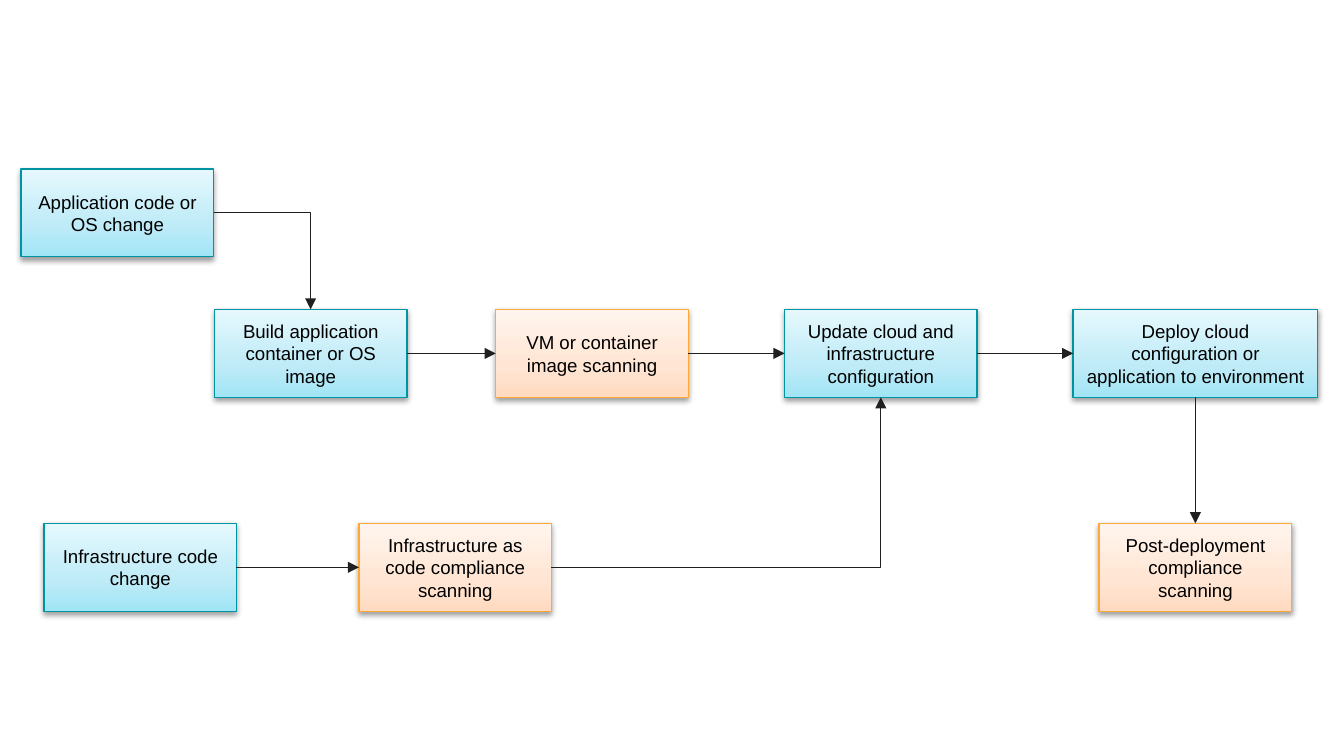
from lxml.etree import SubElement
from pptx import Presentation
from pptx.dml.color import RGBColor
from pptx.enum.shapes import MSO_CONNECTOR as CONNECTOR, MSO_SHAPE as SHAPE
from pptx.enum.text import MSO_ANCHOR as ANCHOR, PP_ALIGN as ALIGN
from pptx.oxml.ns import qn
from pptx.util import Pt

BOX_WIDTH, BOX_HEIGHT, WIDE_BOX = 103.1, 47.1, 131
TOP_ROW, MIDDLE_ROW, BOTTOM_ROW = 90.5, 165.8, 280.4
TOP, LEFT, BOTTOM, RIGHT = range(4)
STEP = ("0094A3", ("A0E5F5", "BEEBF7", "E5F8FD"))
SCAN = ("FEA83A", ("FFDAC0", "FFE5D3", "FFF5EE"))

BOXES = {
    "build": (114.9, MIDDLE_ROW, BOX_WIDTH, STEP, "Build application container or OS image"),
    "deploy": (574.9, MIDDLE_ROW, WIDE_BOX, STEP,
               "Deploy cloud configuration or application to environment"),
    "update": (420.3, MIDDLE_ROW, BOX_WIDTH, STEP,
               "Update cloud and infrastructure configuration"),
    "app change": (11.3, TOP_ROW, BOX_WIDTH, STEP, "Application code or OS change"),
    "infra change": (23.6, BOTTOM_ROW, BOX_WIDTH, STEP, "Infrastructure code change"),
    "infra scan": (192.3, BOTTOM_ROW, BOX_WIDTH, SCAN,
                   "Infrastructure as code compliance scanning"),
    "post scan": (588.85, BOTTOM_ROW, BOX_WIDTH, SCAN, "Post-deployment compliance scanning"),
    "image scan": (265.6, MIDDLE_ROW, BOX_WIDTH, SCAN, "VM or container image scanning"),
}
ARROWS = [
    ("build", RIGHT, "image scan", LEFT),
    ("image scan", RIGHT, "update", LEFT),
    ("update", RIGHT, "deploy", LEFT),
    ("infra change", RIGHT, "infra scan", LEFT),
    ("app change", RIGHT, "build", TOP),
    ("infra scan", RIGHT, "update", BOTTOM),
    ("deploy", BOTTOM, "post scan", TOP),
]


def color(value):
    return RGBColor.from_string(value)


def add_xml(parent, tag, **attributes):
    return SubElement(parent, qn(tag), attributes)


def style_line(line, value):
    line.color.rgb = color(value)
    line.width = Pt(0.75)


def add_gradient(properties, colors):
    gradient = add_xml(properties, "a:gradFill", rotWithShape="1")
    stops = add_xml(gradient, "a:gsLst")
    for position, value in zip((0, 35000, 100000), colors):
        stop = add_xml(stops, "a:gs", pos=str(position))
        add_xml(stop, "a:srgbClr", val=value)
    add_xml(gradient, "a:lin", ang="16200000", scaled="0")


def add_shadow(properties):
    effects = add_xml(properties, "a:effectLst")
    shadow = add_xml(effects, "a:outerShdw", blurRad=str(Pt(3.1)), dist=str(Pt(1.6)),
                     dir="5400000", rotWithShape="0")
    black = add_xml(shadow, "a:srgbClr", val="000000")
    add_xml(black, "a:alpha", val="38000")


def add_box(slide, left, top, width, style, text):
    border, colors = style
    shape = slide.shapes.add_shape(SHAPE.RECTANGLE, Pt(left), Pt(top), Pt(width), Pt(BOX_HEIGHT))
    add_gradient(shape._element.spPr, colors)
    style_line(shape.line, border)
    add_shadow(shape._element.spPr)
    frame = shape.text_frame
    frame.word_wrap = True
    frame.vertical_anchor = ANCHOR.MIDDLE
    frame.margin_left = frame.margin_right = frame.margin_top = frame.margin_bottom = Pt(7.2)
    paragraph = frame.paragraphs[0]
    paragraph.alignment = ALIGN.CENTER
    run = paragraph.add_run()
    run.text = text
    run.font.name = "Arial"
    run.font.size = Pt(10)
    run.font.color.rgb = color("000000")
    return shape


def add_arrow(slide, source, source_side, target, target_side):
    bent = (source_side - target_side) % 2 == 1
    kind = CONNECTOR.ELBOW if bent else CONNECTOR.STRAIGHT
    connector = slide.shapes.add_connector(kind, 0, 0, 0, 0)
    connector.begin_connect(source, source_side)
    connector.end_connect(target, target_side)
    properties = connector._element.spPr
    if bent:
        properties.find(qn("a:prstGeom")).set("prst", "bentConnector2")
    style_line(connector.line, "202020")
    add_xml(connector.line._get_or_add_ln(), "a:tailEnd", type="triangle", w="med", len="med")
    add_xml(properties, "a:effectLst")


def main():
    """Build the deployment pipeline flowchart slide."""
    presentation = Presentation()
    presentation.slide_width, presentation.slide_height = Pt(720), Pt(405)
    slide = presentation.slides.add_slide(presentation.slide_layouts[6])
    boxes = {name: add_box(slide, *details) for name, details in BOXES.items()}
    for source, source_side, target, target_side in ARROWS:
        add_arrow(slide, boxes[source], source_side, boxes[target], target_side)
    presentation.save("out.pptx")


if __name__ == "__main__":
    main()
